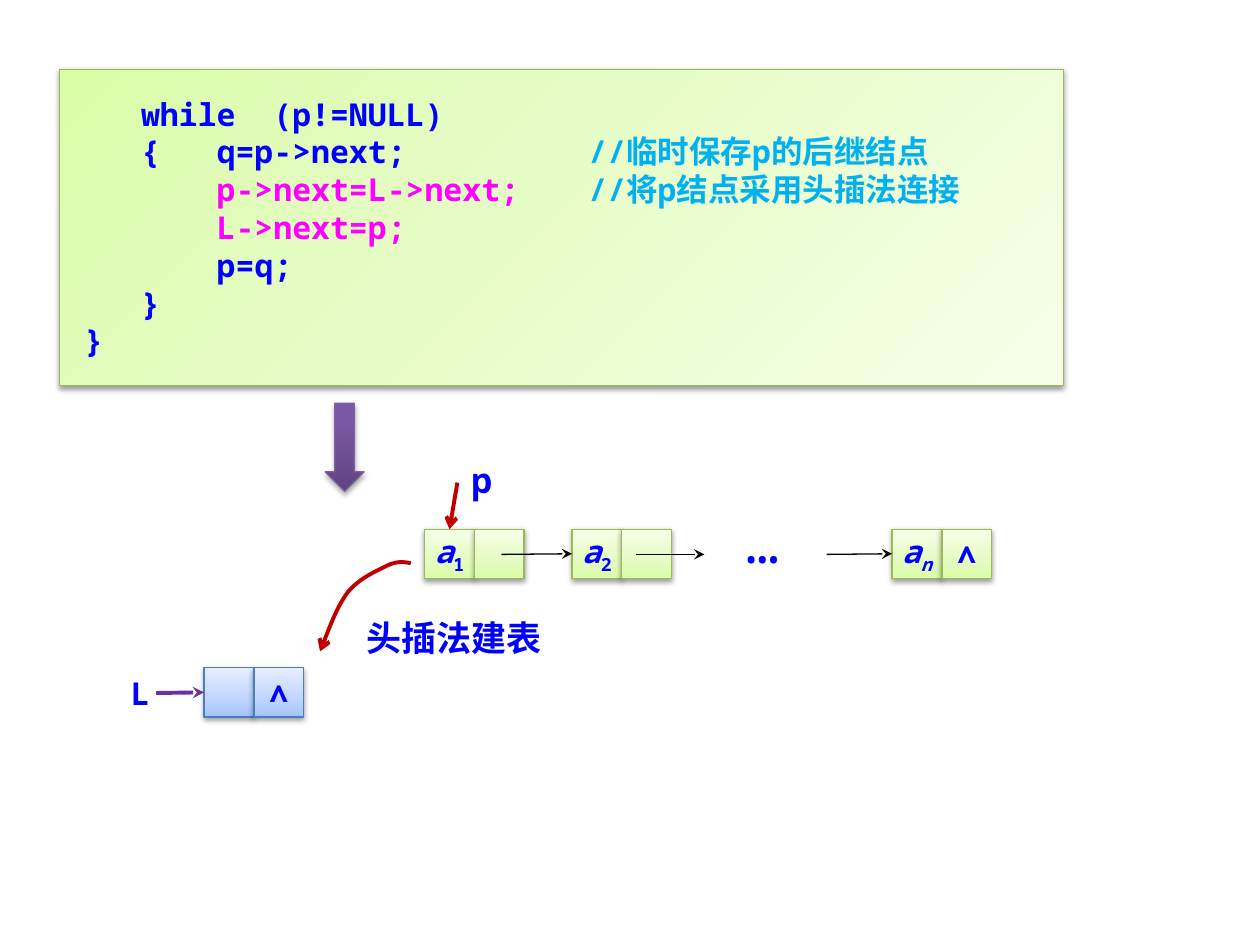
import pptx
import pptx.dml.color
import pptx.enum.shapes
import pptx.enum.text
import pptx.oxml
import pptx.oxml.ns
import pptx.util
from pptx.util import Inches

FONT = "Noto Sans Mono"
BLUE, CYAN, PINK, RED, PURPLE, BLACK = "0000FF", "00B0F0", "FF00FF", "C00000", "7030A0", "000000"
GREEN_STOPS = [(0, "DAFDA7"), (35, "E4FCC2"), (100, "F5FFE7")]
BLUE_STOPS = [(0, "A4C4FF"), (35, "BFD4FF"), (100, "E6EEFF")]
PURPLE_STOPS = [(0, "5F4480"), (80, "7B58A6"), (100, "7C57A8")]
GREEN_LINE, BLUE_LINE, PURPLE_LINE = "98B955", "4B7EBC", "7D60A0"
NODE_WIDTH, NODE_HEIGHT = 0.79, 0.39
TOP, LEFT = 0, 1
SHAPES = pptx.enum.shapes.MSO_SHAPE
ALIGN = pptx.enum.text.PP_ALIGN
ANCHOR = pptx.enum.text.MSO_ANCHOR
GROW = pptx.enum.text.MSO_AUTO_SIZE.SHAPE_TO_FIT_TEXT

CODE = [
    [("   while  (p!=NULL)", BLUE)],
    [("   {   q=p->next;\t\t", BLUE), ("//临时保存p的后继结点", CYAN)],
    [("       ", BLUE), ("p->next=L->next;\t", PINK), ("//将p结点采用头插法连接", CYAN)],
    [("       L->next=p;", PINK)],
    [("       p=q;", BLUE)],
    [("   }", BLUE)],
    [("}", BLUE)],
]


def rgb(color):
    return pptx.dml.color.RGBColor.from_string(color)


def drawing_xml(markup):
    """Parse one element of the drawing namespace, given without its declaration."""
    tag, rest = markup.split(" ", 1)
    return pptx.oxml.parse_xml(f"{tag} {pptx.oxml.ns.nsdecls('a')} {rest}")


def add_run(paragraph, text, color=BLUE, baseline=0, **font_values):
    run = paragraph.add_run()
    run.text = text
    values = {"name": FONT, "size": pptx.util.Pt(18), "bold": True, **font_values}
    for attribute, value in values.items():
        setattr(run.font, attribute, value)
    run.font.color.rgb = rgb(color)
    properties = run._r.get_or_add_rPr()
    properties.append(drawing_xml(f'<a:ea typeface="{FONT}"/>'))
    if baseline:
        properties.set("baseline", str(baseline * 1000))


def add_block(slide, preset, box, stops, angle, line_color, shadow=(38, 1.6)):
    """Add a preset shape with a gradient, a thin outline and a soft shadow below."""
    block = slide.shapes.add_shape(preset, *map(Inches, box))
    block.line.color.rgb = rgb(line_color)
    block.line.width = pptx.util.Pt(0.75)
    marks = "".join(f'<a:gs pos="{pos * 1000}"><a:srgbClr val="{color}"/></a:gs>'
                    for pos, color in stops)
    properties = block._element.spPr
    properties.insert(2, drawing_xml(
        f'<a:gradFill rotWithShape="1"><a:gsLst>{marks}</a:gsLst>'
        f'<a:lin ang="{angle * 60000}" scaled="0"/></a:gradFill>'))
    block.shadow.inherit = False
    opacity, distance = shadow
    properties.find(pptx.oxml.ns.qn("a:effectLst")).append(drawing_xml(
        f'<a:outerShdw blurRad="{pptx.util.Pt(3.1)}" dist="{pptx.util.Pt(distance)}" '
        f'dir="5400000" rotWithShape="0"><a:srgbClr val="000000">'
        f'<a:alpha val="{opacity * 1000}"/></a:srgbClr></a:outerShdw>'))
    return block


def add_label(slide, box, text, align=ALIGN.LEFT, **font_values):
    frame = slide.shapes.add_textbox(*map(Inches, box)).text_frame
    frame.word_wrap = True
    frame.auto_size = GROW
    frame.paragraphs[0].alignment = align
    add_run(frame.paragraphs[0], text, **font_values)


def style_arrow(arrow, color, width, head):
    arrow.line.color.rgb = rgb(color)
    arrow.line.width = pptx.util.Pt(width)
    arrow.line._get_or_add_ln().append(drawing_xml(f'<a:tailEnd type="{head}"/>'))


def add_arrow(slide, start, end, color=BLACK, width=0.75, head="stealth", target=None, side=LEFT):
    arrow = slide.shapes.add_connector(
        pptx.enum.shapes.MSO_CONNECTOR.STRAIGHT, *map(Inches, (*start, *end)))
    if target is not None:
        arrow.end_connect(target, side)
    style_arrow(arrow, color, width, head)
    arrow._element.spPr.append(drawing_xml("<a:effectLst />"))


def add_curved_arrow(slide, points, color, width, head):
    """Draw Bézier segments: a start point, then three points for each segment."""
    start, *controls = [(Inches(x), Inches(y)) for x, y in points]
    builder = slide.shapes.build_freeform(*start)
    builder.add_line_segments(controls, close=False)
    curve = builder.convert_to_shape()
    curve.shadow.inherit = False
    curve.fill.background()
    style_arrow(curve, color, width, head)
    qn = pptx.oxml.ns.qn
    outline = next(curve._element.iter(qn("a:path")))
    steps = outline.findall(qn("a:lnTo"))
    for first in range(0, len(steps), 3):
        segment = drawing_xml("<a:cubicBezTo />")
        for step in steps[first:first + 3]:
            segment.append(step[0])
            outline.remove(step)
        outline.append(segment)


def add_code_panel(slide, box):
    panel = add_block(slide, SHAPES.RECTANGLE, box, GREEN_STOPS, 45, GREEN_LINE)
    frame = panel.text_frame
    layout = {"margin_left": Inches(0.2), "margin_top": Inches(0.2),
              "margin_right": Inches(0.1), "margin_bottom": Inches(0.2),
              "word_wrap": True, "vertical_anchor": ANCHOR.TOP, "auto_size": GROW}
    for attribute, value in layout.items():
        setattr(frame, attribute, value)
    for number, pieces in enumerate(CODE):
        paragraph = frame.add_paragraph() if number else frame.paragraphs[0]
        paragraph.alignment = ALIGN.LEFT
        paragraph._p.get_or_add_pPr().set("defTabSz", str(Inches(1)))
        for text, color in pieces:
            add_run(paragraph, text, color)


def add_node(slide, left, top, data=(), link="", stops=GREEN_STOPS, line_color=GREEN_LINE):
    """Add a list node of a data cell and a link cell; return the data cell."""
    cells = []
    for column, pieces in enumerate((data, [(link, {})] if link else ())):
        half = NODE_WIDTH / 2
        cell = add_block(slide, SHAPES.RECTANGLE, (left + column * half, top, half, NODE_HEIGHT),
                         stops, 270, line_color)
        cell.text_frame.word_wrap = False
        cell.text_frame.vertical_anchor = ANCHOR.MIDDLE
        paragraph = cell.text_frame.paragraphs[0]
        paragraph.alignment = ALIGN.CENTER
        for text, values in pieces:
            add_run(paragraph, text, **values)
        cells.append(cell)
    return cells[0]


def element_name(index, index_italic=False):
    return [("a", {"italic": True}), (index, {"italic": index_italic, "baseline": -25})]


def add_head_node(slide, left, top):
    middle = top + 0.2
    head_node = add_node(slide, left + 0.68, top, link="∧",
                         stops=BLUE_STOPS, line_color=BLUE_LINE)
    add_arrow(slide, (left + 0.3, middle), (left + 0.68, middle), PURPLE, 2.25, target=head_node)
    add_label(slide, (left, top, 0.29, 0.4), "L")


def add_element_chain(slide, left, top):
    middle = top + 0.2
    first = add_node(slide, left, top, element_name("1"))
    second = add_node(slide, left + 1.17, top, element_name("2"))
    last = add_node(slide, left + 3.71, top, element_name("n", True), "∧")
    add_arrow(slide, (left + 0.61, middle), (left + 1.17, middle), target=second)
    add_arrow(slide, (left + 1.68, middle), (left + 2.22, middle))
    add_arrow(slide, (left + 3.19, middle), (left + 3.71, middle), target=last)
    add_label(slide, (left + 2.45, top - 0.22, 0.79, 0.63), "…",
              size=pptx.util.Pt(32), bold=False)
    add_arrow(slide, (left + 0.26, top - 0.37), (left + 0.2, top), RED, 2.25, "arrow", first, TOP)
    add_label(slide, (left + 0.18, top - 0.61, 0.55, 0.44), "p", ALIGN.CENTER,
              size=pptx.util.Pt(20))


def add_insertion_step(slide, left, top):
    offsets = [(0.72, 0.02), (0.67, 0.01), (0.61, 0), (0.53, 0.04), (0.45, 0.08),
               (0.31, 0.14), (0.22, 0.25), (0.14, 0.36), (0.07, 0.54), (0, 0.72)]
    add_curved_arrow(slide, [(left + x, top + y) for x, y in offsets], RED, 2.25, "arrow")
    add_label(slide, (left + 0.27, top + 0.39, 2.05, 0.43), "头插法建表", size=pptx.util.Pt(20))


def main():
    deck = pptx.Presentation()
    deck.slide_width, deck.slide_height = Inches(10), Inches(7.5)
    slide = deck.slides.add_slide(deck.slide_layouts[6])
    add_code_panel(slide, (0.47, 0.55, 7.97, 2.51))
    add_head_node(slide, 0.94, 5.3)
    add_element_chain(slide, 3.37, 4.2)
    add_insertion_step(slide, 2.54, 4.45)
    add_block(slide, SHAPES.DOWN_ARROW, (2.58, 3.2, 0.31, 0.7), PURPLE_STOPS, 270,
              PURPLE_LINE, shadow=(35, 1.8))
    deck.save("out.pptx")


if __name__ == "__main__":
    main()
